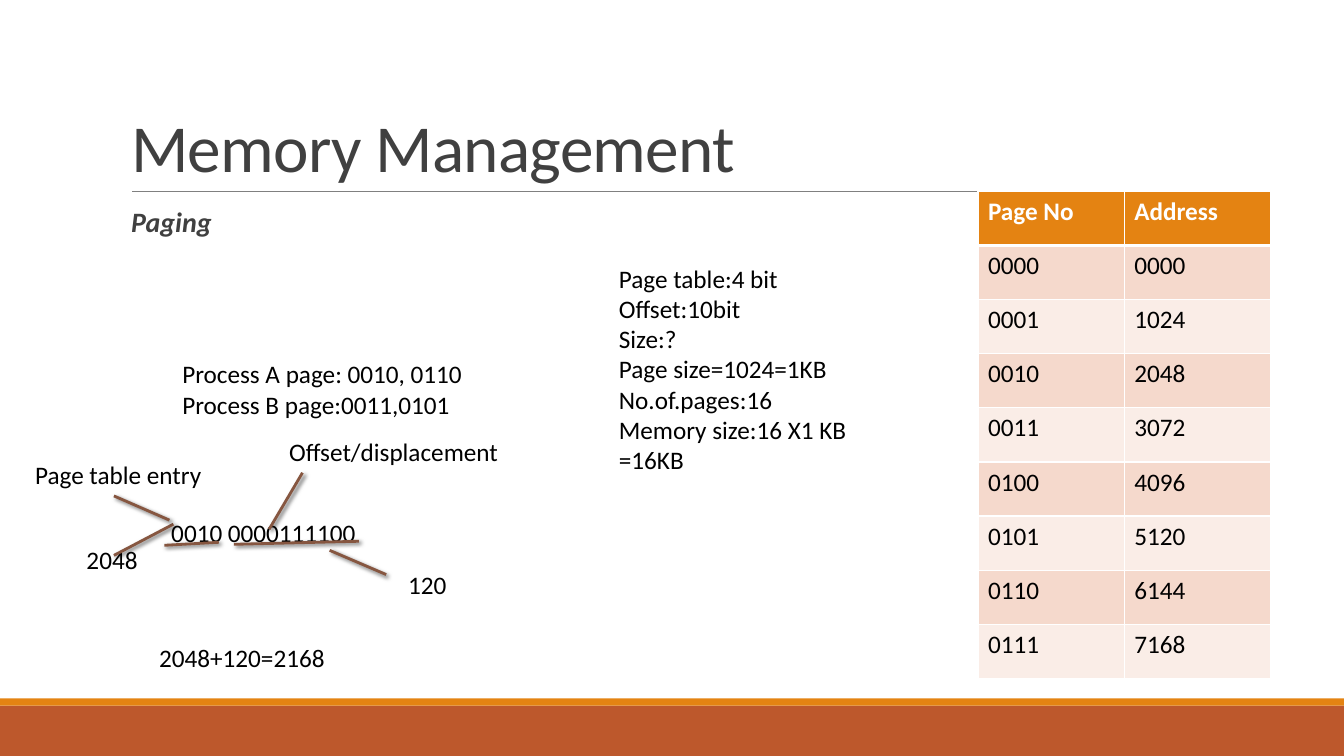
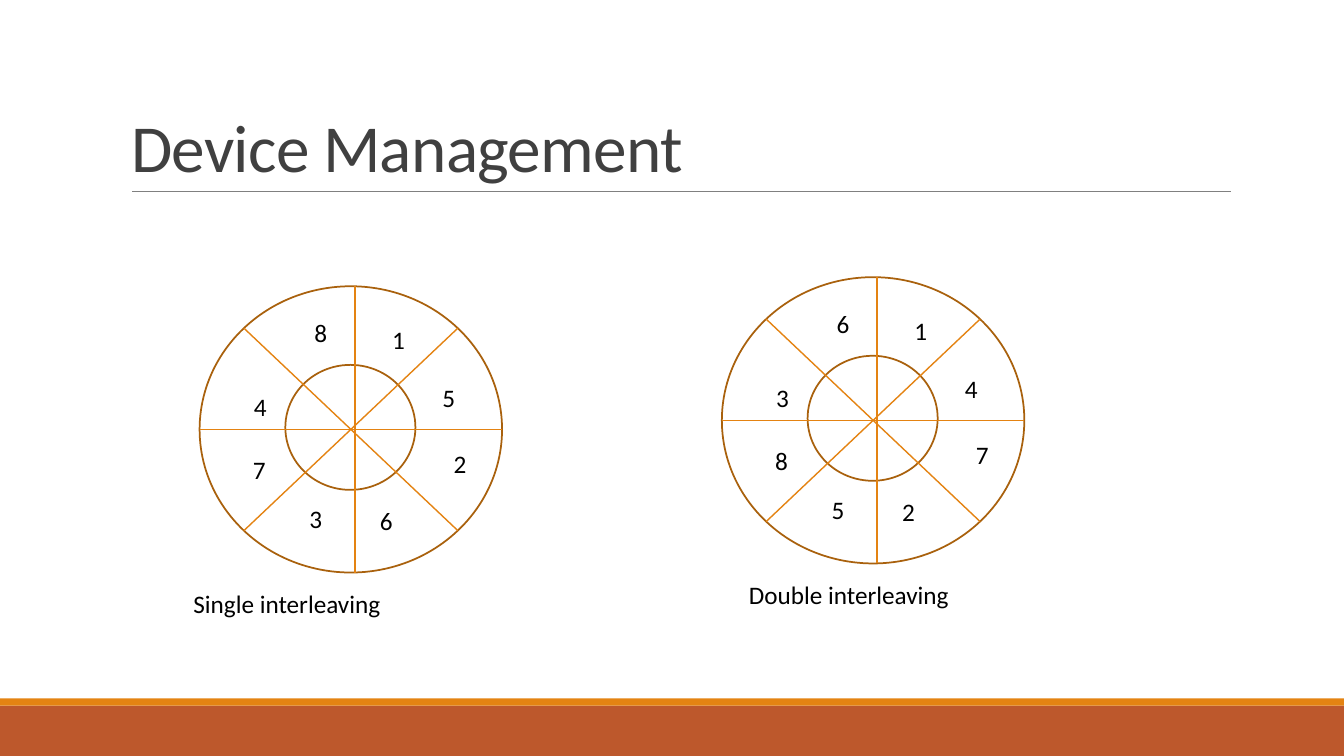
import math

from lxml import etree
from pptx import Presentation
from pptx import util as u
from pptx.dml.color import RGBColor
from pptx.enum import shapes, text
from pptx.oxml import ns

COLORS = {
    "band": "BD582C", "accent": "E48312", "rule": "808080", "title": "404040",
    "text": "000000", "white": "FFFFFF", "pointer": "865640", "ring": "A9610D",
    "row_dark": "F5D9CC", "row_light": "FAEDE7",
}
FONT = "Calibri"
TITLE_BOX = (1.2, 0.31, 11, 1.59)
BODY_BOX = (1.2, 2.02, 11, 4.4)
TITLE_ONLY, TITLE_AND_BODY = 5, 1
WHEEL_WIDTH, WHEEL_HEIGHT = 3, 2.84
SECTOR_OFFSETS = [(1.81, 0.33), (2.31, 0.9), (2.42, 1.56), (1.69, 2.12),
                  (0.99, 2.1), (0.43, 1.62), (0.44, 0.99), (1.04, 0.26)]


def color(name):
    """Return the named colour."""
    return RGBColor.from_string(COLORS[name])


def inches(*lengths):
    """Convert several lengths to Inches."""
    return [u.Inches(length) for length in lengths]


def add_run(paragraph, words, size=18, tint="text", bold=False, italic=False):
    """Add one formatted run to a paragraph."""
    run = paragraph.add_run()
    run.text = words
    font = run.font
    font.name, font.size, font.bold, font.italic = FONT, u.Pt(size), bold, italic
    font.color.rgb = color(tint)
    return run


def add_text(parent, left, top, width, *lines):
    """Add a text box with one paragraph for each line."""
    box = parent.add_textbox(*inches(left, top, width, 0.1 + 0.3 * len(lines)))
    frame = box.text_frame
    frame.word_wrap = True
    for index, line in enumerate(lines):
        paragraph = frame.add_paragraph() if index else frame.paragraphs[0]
        add_run(paragraph, line)


def add_line(parent, start, end, tint, weight, shadow=False):
    """Add a straight line, with a soft shadow when asked."""
    line = parent.add_connector(shapes.MSO_CONNECTOR.STRAIGHT, *inches(*start, *end))
    line.line.color.rgb = color(tint)
    line.line.width = u.Pt(weight)
    effects = etree.SubElement(line.element.spPr, ns.qn("a:effectLst"))
    if shadow:
        outer = etree.SubElement(effects, ns.qn("a:outerShdw"), blurRad=str(u.Pt(3)),
                                 dist=str(u.Pt(2)), dir="2700000", rotWithShape="0")
        black = etree.SubElement(outer, ns.qn("a:srgbClr"), val=COLORS["text"])
        etree.SubElement(black, ns.qn("a:alpha"), val="60000")
    return line


def add_band(slide, top, height, tint):
    """Add a full-width band."""
    band = slide.shapes.add_shape(shapes.MSO_SHAPE.RECTANGLE, *inches(0, top, 13.33, height))
    band.shadow.inherit = False
    band.fill.solid()
    band.fill.fore_color.rgb = color(tint)
    band.line.fill.background()
    return band


def decorate_master(presentation, slide):
    """Draw the bands and the title rule, and move them to the master."""
    parts = [add_band(slide, 7, 0.5, "band"), add_band(slide, 6.93, 0.07, "accent"),
             add_line(slide.shapes, (1.31, 1.9), (12.21, 1.9), "rule", 0.5)]
    for number, part in enumerate(parts, 20):
        part.element.xpath(".//p:cNvPr")[0].set("id", str(number))
        presentation.slide_master.shapes.element.append(part.element)


def place(shape, box):
    """Move a placeholder to its box."""
    shape.left, shape.top, shape.width, shape.height = inches(*box)
    shape.text_frame.auto_size = text.MSO_AUTO_SIZE.NONE


def add_slide(presentation, layout, title):
    """Add a slide with its formatted title."""
    slide = presentation.slides.add_slide(presentation.slide_layouts[layout])
    shape = slide.shapes.title
    place(shape, TITLE_BOX)
    shape.text_frame.vertical_anchor = text.MSO_ANCHOR.BOTTOM
    paragraph = shape.text_frame.paragraphs[0]
    paragraph.alignment = text.PP_ALIGN.LEFT
    paragraph.line_spacing = 0.85
    run = add_run(paragraph, title, 48, "title")
    run.font._element.set("spc", "-50")
    return slide


def fill_body(slide, words):
    """Write the subtitle in the body placeholder."""
    body = slide.placeholders[1]
    place(body, BODY_BOX)
    frame = body.text_frame
    frame.margin_left = frame.margin_right = 0
    paragraph = frame.paragraphs[0]
    paragraph.line_spacing = 0.9
    paragraph.space_before, paragraph.space_after = u.Pt(12), u.Pt(2)
    properties = paragraph._p.get_or_add_pPr()
    properties.set("marL", str(u.Inches(0.1)))
    properties.set("indent", "0")
    etree.SubElement(properties, ns.qn("a:buNone"))
    add_run(paragraph, words, 20, "title", bold=True, italic=True)


def set_borders(cell, top, bottom):
    """Give a cell white borders."""
    properties = cell._tc.get_or_add_tcPr()
    for side, weight in (("L", 1), ("R", 1), ("T", top), ("B", bottom)):
        border = etree.SubElement(properties, ns.qn("a:ln" + side), w=str(u.Pt(weight)))
        fill = etree.SubElement(border, ns.qn("a:solidFill"))
        etree.SubElement(fill, ns.qn("a:srgbClr"), val=COLORS["white"])


def add_page_table(slide, left, top, width, height):
    """Add the table of page numbers and addresses."""
    rows = [("Page No", "Address")]
    rows += [(f"{page:04b}", f"{page * 1024:04d}") for page in range(8)]
    frame = slide.shapes.add_table(len(rows), 2, *inches(left, top, width, height))
    for index, row in enumerate(rows):
        header = index == 0
        tint = "accent" if header else ("row_light", "row_dark")[index % 2]
        for column, words in enumerate(row):
            cell = frame.table.cell(index, column)
            set_borders(cell, 3 if index == 1 else 1, 3 if header else 1)
            cell.fill.solid()
            cell.fill.fore_color.rgb = color(tint)
            add_run(cell.text_frame.paragraphs[0], words,
                    tint="white" if header else "text", bold=header)


def add_address_diagram(slide, left, top):
    """Add the split address with its labels and pointer lines."""
    labels = [(1.35, 0.8, 3.48, "0010 0000111100"), (0.51, 1.07, 0.83, "2048"),
              (3.7, 1.32, 0.97, "120"), (1.23, 2.04, 2.79, "2048+120=2168"),
              (0, 0.23, 2.26, "Page table entry"), (2.52, 0, 2.72, "Offset/displacement")]
    pointers = [(1.92, 1.1, 1.38, 1.13), (1.47, 0.92, 0.88, 1.23), (2.07, 1.12, 3.31, 1.09),
                (3.02, 1.18, 3.58, 1.42), (2.42, 0.97, 2.75, 0.41), (0.88, 0.64, 1.43, 0.88)]
    for x, y, width, words in labels:
        add_text(slide.shapes, left + x, top + y, width, words)
    for x1, y1, x2, y2 in pointers:
        add_line(slide.shapes, (left + x1, top + y1), (left + x2, top + y2),
                 "pointer", 2, shadow=True)


def add_ring(parent, left, top, width, height):
    """Add an unfilled ellipse."""
    ring = parent.add_shape(shapes.MSO_SHAPE.OVAL, *inches(left, top, width, height))
    ring.shadow.inherit = False
    ring.fill.background()
    ring.line.color.rgb = color("ring")
    ring.line.width = u.Pt(1.25)


def add_wheel(slide, left, top, sectors, caption, caption_shift):
    """Add a disk of eight numbered sectors, clockwise, and its caption."""
    parent = slide.shapes.add_group_shape().shapes
    add_ring(parent, left, top, WHEEL_WIDTH, WHEEL_HEIGHT)
    add_ring(parent, left + 0.85, top + 0.78, 1.29, 1.24)
    middle_x, middle_y = left + WHEEL_WIDTH / 2, top + WHEEL_HEIGHT / 2
    reach_x = WHEEL_WIDTH / 2 * math.sqrt(0.5)
    reach_y = WHEEL_HEIGHT / 2 * math.sqrt(0.5)
    spokes = [(middle_x + 0.04, 0, WHEEL_HEIGHT / 2), (middle_x, WHEEL_WIDTH / 2, 0),
              (middle_x, reach_x, reach_y), (middle_x, reach_x, -reach_y)]
    for x, dx, dy in spokes:
        add_line(parent, (x - dx, middle_y - dy), (x + dx, middle_y + dy), "accent", 1)
    for number, (x, y) in zip(sectors, SECTOR_OFFSETS):
        add_text(parent, left + x, top + y, 0.35, number)
    add_text(slide.shapes, left + caption_shift, top + 2.95, 3.33, caption)


def build_memory_slide(presentation):
    """Build the paging slide."""
    slide = add_slide(presentation, TITLE_AND_BODY, "Memory Management")
    decorate_master(presentation, slide)
    fill_body(slide, "Paging")
    add_page_table(slide, 9.7, 1.9, 2.9, 4.83)
    add_text(slide.shapes, 1.71, 3.51, 3.54,
             "Process A page: 0010, 0110", "Process B page:0011,0101")
    add_text(slide.shapes, 6.04, 2.56, 2.54, "Page table:4 bit", "Offset:10bit", "Size:?",
             "Page size=1024=1KB", "No.of.pages:16", "Memory size:16 X1 KB", "=16KB")
    add_address_diagram(slide, 0.25, 4.28)


def build_device_slide(presentation):
    """Build the interleaving slide."""
    slide = add_slide(presentation, TITLE_ONLY, "Device Management")
    add_wheel(slide, 1.98, 2.84, "15263748", "Single interleaving", -0.16)
    add_wheel(slide, 7.16, 2.75, "14725836", "Double interleaving", 0.17)


def main():
    """Build and save the presentation."""
    presentation = Presentation()
    presentation.slide_width, presentation.slide_height = inches(13.33, 7.5)
    build_memory_slide(presentation)
    build_device_slide(presentation)
    presentation.save("out.pptx")


if __name__ == "__main__":
    main()
